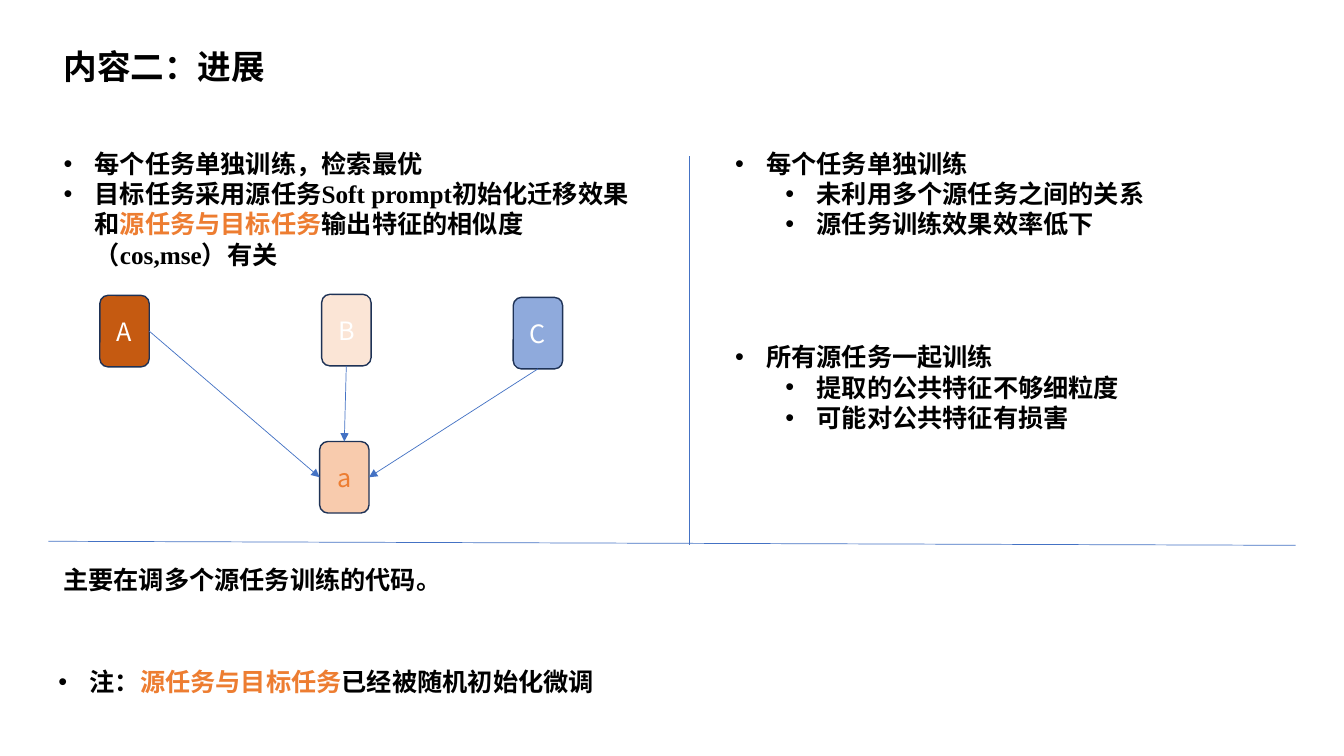
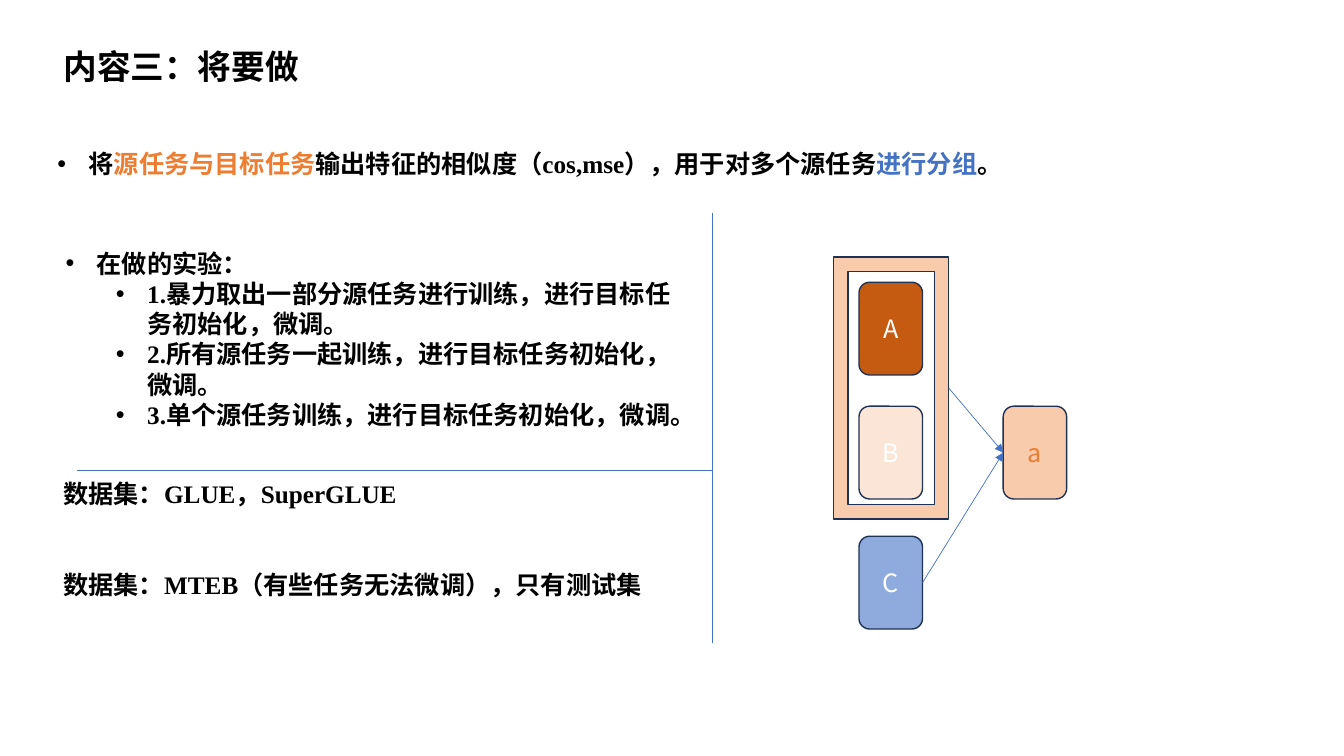
"""Builds two slides on source-task training: progress so far and next steps."""
import pptx
import pptx.util
import pptx.dml.color
import pptx.enum.shapes
import pptx.enum.text
import pptx.oxml.ns
import lxml.etree

Inches, Pt = pptx.util.Inches, pptx.util.Pt
SHAPE = pptx.enum.shapes.MSO_SHAPE
ALIGN, ANCHOR = pptx.enum.text.PP_ALIGN, pptx.enum.text.MSO_ANCHOR
qn = pptx.oxml.ns.qn

COLORS = {
    "text": "000000", "white": "FFFFFF", "orange": "ED7D31", "blue": "4472C4",
    "outline": "1E3256", "rust": "C55A11", "cream": "FBE5D6",
    "sky": "8FAADC", "peach": "F8CBAD",
}
LATIN, CJK = "Times New Roman", "Noto Sans CJK SC"
TITLE_BOX = (0.53, 0.41, 12.42, 0.5)
TOP, RIGHT_COL = 1.42, 7.19
INDENT, STEP = 0.31, 0.5
NODES = {"A": ("rust", "white"), "B": ("cream", "white"),
         "C": ("sky", "white"), "a": ("peach", "orange")}
SITE = {"top": 0, "left": 1, "bottom": 2, "right": 3}
TASKS = ("源任务与目标任务", "orange")

SLIDES = [
    {
        "layout": 4,
        "title": "内容二：进展",
        "lists": [
            ((0.53, TOP, 5.97, 1.92), [
                (0, ["每个任务单独训练，检索最优"]),
                (0, ["目标任务采用源任务Soft prompt初始化迁移效果和", TASKS,
                     "输出特征的相似度（cos,mse）有关"])]),
            ((RIGHT_COL, TOP, 5.8, 1.31), [
                (0, ["每个任务单独训练"]),
                (1, ["未利用多个源任务之间的关系"]),
                (1, ["源任务训练效果效率低下"])]),
            ((RIGHT_COL, 3.34, 5.8, 1.01), [
                (0, ["所有源任务一起训练"]),
                (1, ["提取的公共特征不够细粒度"]),
                (1, ["可能对公共特征有损害"])]),
            ((0.48, 6.56, 12.4, 0.71), [
                (0, ["注：", TASKS, "已经被随机初始化微调"])]),
        ],
        "plain": ((0.53, 5.55, 5.8, 0.4), ["主要在调多个源任务训练的代码。"]),
        "node_size": (0.49, 0.71),
        "nodes": {"A": (0.99, 2.93), "B": (3.19, 2.92),
                  "C": (5.09, 2.95), "a": (3.17, 4.38)},
        "arrows": [("A", "right", "left"), ("B", "bottom", "top"),
                   ("C", "bottom", "right")],
        "dividers": [(6.84, 1.55, 6.84, 5.41), (0.48, 5.37, 12.85, 5.41)],
    },
    {
        "layout": 3,
        "title": "内容三：将要做",
        "lists": [
            ((0.47, TOP, 12.4, 0.6), [
                (0, ["将", TASKS, "输出特征的相似度（cos,mse），用于对多个源任务",
                     ("进行分组", "blue"), "。"])]),
            ((0.55, 2.41, 6.31, 1.92), [
                (0, ["在做的实验："]),
                (1, ["1.暴力取出一部分源任务进行训练，进行目标任务初始化，微调。"]),
                (1, ["2.所有源任务一起训练，进行目标任务初始化，微调。"]),
                (1, ["3.单个源任务训练，进行目标任务初始化，微调。"])]),
        ],
        "plain": ((0.53, 4.7, 6.03, 1.31),
                  ["数据集：GLUE，SuperGLUE", "数据集：MTEB（有些任务无法微调），只有测试集"]),
        "node_size": (0.63, 0.92),
        "nodes": {"A": (8.52, 2.8), "B": (8.52, 4.03),
                  "C": (8.52, 5.32), "a": (9.95, 4.03)},
        "group": (8.27, 2.55, 1.14, 2.6),
        "arrows": [("C", "right", "left"), ("group", "right", "left")],
        "dividers": [(7.07, 2.11, 7.07, 6.38), (0.76, 4.67, 7.07, 4.67)],
    },
]


def rgb(name):
    return pptx.dml.color.RGBColor.from_string(COLORS[name])


def set_font(font, size, name, color, bold):
    font.size, font.name, font.bold = Pt(size), name, bold
    font.color.rgb = rgb(color)


def place(sp, box):
    sp.left, sp.top, sp.width, sp.height = map(Inches, box)


def prepare(sp, anchor=ANCHOR.TOP):
    tf = sp.text_frame
    tf.word_wrap, tf.auto_size = True, pptx.enum.text.MSO_AUTO_SIZE.NONE
    tf.vertical_anchor = anchor
    return tf


def write(p, parts, size=18, name=LATIN, color="text", bold=True, align=ALIGN.LEFT):
    p.alignment, p.line_spacing, p.space_before = align, 1.0, Pt(0)
    set_font(p.font, size, name, color, bold)
    for part in parts:
        text, accent = (part, None) if isinstance(part, str) else part
        r = p.add_run()
        r.text = text
        if accent:
            r.font.color.rgb = rgb(accent)
        lxml.etree.SubElement(r._r.get_or_add_rPr(), qn("a:ea"), typeface=CJK)


def add_bullet(p, level):
    p.level = level
    pPr = p._p.get_or_add_pPr()
    pPr.set("marL", str(Inches(INDENT + STEP * level)))
    pPr.set("indent", str(-Inches(INDENT)))
    font = lxml.etree.Element(qn("a:buFont"), typeface="Arial")
    char = lxml.etree.Element(qn("a:buChar"), char="•")
    default = pPr.find(qn("a:defRPr"))
    default.addprevious(font)
    default.addprevious(char)


def paragraphs(tf, items):
    for i, item in enumerate(items):
        yield (tf.add_paragraph() if i else tf.paragraphs[0]), item


def fill_list(sp, box, items):
    place(sp, box)
    for p, (level, parts) in paragraphs(prepare(sp), items):
        write(p, parts)
        add_bullet(p, level)


def add_plain(s, box, lines):
    tf = prepare(s.shapes.add_textbox(*map(Inches, box)))
    for p, line in paragraphs(tf, lines):
        write(p, [line])
    for p in tf.paragraphs[1:]:
        p.space_before = Pt(43)


def add_block(s, kind, box, fill):
    sp = s.shapes.add_shape(kind, *map(Inches, box))
    sp.shadow.inherit = False
    sp.fill.solid()
    sp.fill.fore_color.rgb = rgb(fill)
    sp.line.color.rgb, sp.line.width = rgb("outline"), Pt(1)
    return sp


def add_node(s, label, box):
    fill, color = NODES[label]
    sp = add_block(s, SHAPE.ROUNDED_RECTANGLE, box, fill)
    write(prepare(sp, ANCHOR.MIDDLE).paragraphs[0], [label],
          name=CJK, color=color, bold=False, align=ALIGN.CENTER)
    return sp


def add_line(s, ends=(0, 0, 0, 0)):
    line = s.shapes.add_connector(
        pptx.enum.shapes.MSO_CONNECTOR.STRAIGHT, *map(Inches, ends))
    line.line.color.rgb, line.line.width = rgb("blue"), Pt(0.5)
    lxml.etree.SubElement(line._element.spPr, qn("a:effectLst"))
    return line


def add_arrow(s, source, source_side, target, target_side):
    line = add_line(s)
    line.begin_connect(source, SITE[source_side])
    line.end_connect(target, SITE[target_side])
    lxml.etree.SubElement(line.line._get_or_add_ln(), qn("a:tailEnd"), type="triangle")


def build_slide(prs, data):
    s = prs.slides.add_slide(prs.slide_layouts[data["layout"]])
    title = s.shapes.title
    place(title, TITLE_BOX)
    write(prepare(title).paragraphs[0], [data["title"]], size=24)
    bodies = [sp for sp in s.placeholders if sp.placeholder_format.idx > 0]
    for sp, (box, items) in zip(bodies, data["lists"]):
        fill_list(sp, box, items)
    add_plain(s, *data["plain"])
    blocks = {label: add_node(s, label, corner + data["node_size"])
              for label, corner in data["nodes"].items()}
    if "group" in data:
        blocks["group"] = add_block(s, SHAPE.FRAME, data["group"], "peach")
    for source, source_side, target_side in data["arrows"]:
        add_arrow(s, blocks[source], source_side, blocks["a"], target_side)
    for ends in data["dividers"]:
        add_line(s, ends)


def main():
    prs = pptx.Presentation()
    prs.slide_width, prs.slide_height = Inches(13.33), Inches(7.5)
    for data in SLIDES:
        build_slide(prs, data)
    prs.save("out.pptx")


if __name__ == "__main__":
    main()
